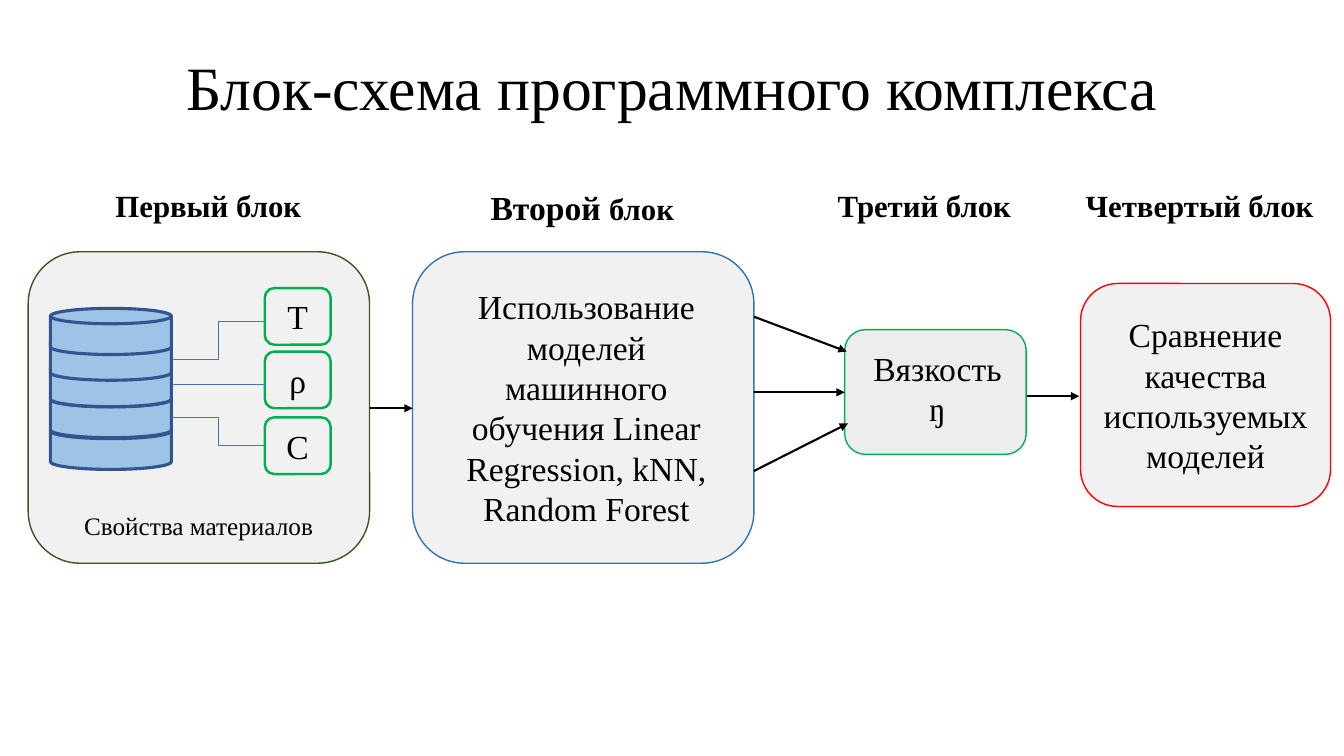
from dataclasses import dataclass

from lxml.etree import SubElement
from pptx import Presentation
from pptx.dml.color import RGBColor
from pptx.enum.shapes import MSO_CONNECTOR, MSO_SHAPE
from pptx.enum.text import MSO_ANCHOR, PP_ALIGN
from pptx.oxml.ns import qn
from pptx.util import Inches, Pt

BLACK = RGBColor(0x00, 0x00, 0x00)
PANEL = RGBColor(0xED, 0xED, 0xED)
DISK_FILL = RGBColor(0x9D, 0xC3, 0xE6)
DISK_EDGE = RGBColor(0x32, 0x54, 0x91)
LINK = RGBColor(0x44, 0x72, 0xC4)
DARK_GREEN = RGBColor(0x38, 0x57, 0x23)
GREEN = RGBColor(0x00, 0xB0, 0x50)
BLUE = RGBColor(0x2E, 0x75, 0xB6)
RED = RGBColor(0xFF, 0x00, 0x00)

SLIDE_W, SLIDE_H = Inches(13.33), Inches(7.5)
COL, ROW = SLIDE_W / 100, SLIDE_H / 100


@dataclass
class Box:
    x: float
    y: float
    w: float
    h: float

    def place(self, x, y, w, h):
        return Box(self.x + x, self.y + y, w, h)

    def emu(self):
        return [round(n) for n in (self.x * COL, self.y * ROW, self.w * COL, self.h * ROW)]


def add_words(paragraph, words, size, bold=False):
    run = paragraph.add_run()
    run.text = words
    style = {"name": "Times New Roman", "size": Pt(size), "bold": bold}
    for name, value in style.items():
        setattr(run.font, name, value)
    run.font.color.rgb = BLACK


def write(frame, lines, size, bold=False, anchor=MSO_ANCHOR.MIDDLE):
    for name, value in {"word_wrap": True, "vertical_anchor": anchor}.items():
        setattr(frame, name, value)
    paragraph = frame.paragraphs[0]
    paragraph.alignment = PP_ALIGN.CENTER
    for index, line in enumerate(lines):
        if index:
            paragraph.add_line_break()
        add_words(paragraph, line, size, bold)
    return paragraph


def add_label(slide, box, lines, size, bold=False):
    label = slide.shapes.add_textbox(*box.emu())
    return write(label.text_frame, lines, size, bold, MSO_ANCHOR.TOP)


def add_figure(slide, kind, box, edge, width, fill=None, alpha=None):
    figure = slide.shapes.add_shape(kind, *box.emu())
    figure.shadow.inherit = False
    if fill is None:
        figure.fill.background()
    else:
        figure.fill.solid()
        figure.fill.fore_color.rgb = fill
    if alpha:
        tint = figure.element.spPr.find(qn("a:solidFill"))[0]
        SubElement(tint, qn("a:alpha"), val=str(alpha * 1000))
    figure.line.color.rgb = edge
    figure.line.width = Pt(width)
    return figure


def add_link(slide, box, start, end, color, width, kind=MSO_CONNECTOR.STRAIGHT, head=False):
    ends = [box.place(*point, 0, 0).emu()[:2] for point in (start, end)]
    link = slide.shapes.add_connector(kind, *ends[0], *ends[1])
    link.line.color.rgb = color
    link.line.width = Pt(width)
    properties = link.element.spPr
    if head:
        SubElement(properties.find(qn("a:ln")), qn("a:tailEnd"), type="triangle")
    SubElement(properties, qn("a:effectLst"))


def add_panel(slide, box, edge, alpha=74):
    return add_figure(slide, MSO_SHAPE.ROUNDED_RECTANGLE, box, edge, 1, PANEL, alpha)


def add_title(slide, box):
    title = slide.shapes.title
    for name, value in zip(("left", "top", "width", "height"), box.emu()):
        setattr(title, name, value)
    write(title.text_frame, ["Блок-схема программного комплекса"], 44).line_spacing = 0.9


def add_materials(slide, box):
    add_panel(slide, box, DARK_GREEN)
    for top in (22.7, 18.5, 14.4, 10.9, 7.5):
        add_figure(slide, MSO_SHAPE.FLOWCHART_MAGNETIC_DISK, box.place(1.65, top, 9, 6.1),
                   DISK_EDGE, 2.25, DISK_FILL)
    properties = (
        ("Т", 4.8, 14.3, 9.2, MSO_CONNECTOR.ELBOW),
        ("ρ", 13.2, 17.6, 17.6, MSO_CONNECTOR.STRAIGHT),
        ("С", 21.9, 21.9, 25.6, MSO_CONNECTOR.ELBOW),
    )
    for symbol, top, start, end, kind in properties:
        add_link(slide, box, (10.7, start), (17.6, end), LINK, 0.5, kind)
        tile = add_figure(slide, MSO_SHAPE.FLOWCHART_ALTERNATE_PROCESS,
                          box.place(17.6, top, 4.9, 7.5), GREEN, 1.75)
        write(tile.text_frame, [symbol], 24)
    add_label(slide, box.place(2.85, 33.6, 19.65, 5.3), ["Свойства материалов"], 18)


def add_models(slide, box):
    add_panel(slide, box, BLUE)
    methods = "Использование моделей машинного обучения Linear Regression, kNN, Random Forest"
    add_label(slide, box.place(3.1, 3.9, 19.65, 33.6), [methods], 24)


def add_viscosity(slide, box):
    add_panel(slide, box, GREEN, None)
    add_label(slide, box.place(0.15, 1.7, 13.5, 12.1), ["Вязкость", "ŋ"], 24)


def add_comparison(slide, box):
    panel = add_panel(slide, box, RED)
    write(panel.text_frame, ["Сравнение качества используемых моделей"], 24)


def add_headings(slide, box):
    headings = (
        ("Первый блок", 5.8, 19.4),
        ("Третий блок", 58.65, 20.25),
        ("Четвертый блок", 77.5, 23.5),
    )
    for heading, left, width in headings:
        add_label(slide, box.place(left, 0, width, 6.3), [heading], 22, True)
    second = add_label(slide, box.place(33.5, 0, 19.65, 6.7), ["Второй "], 24, True)
    add_words(second, "блок", 22, True)


def add_arrows(slide, box):
    arrows = (
        ((27.5, 54), (30.7, 54)),
        ((56.1, 41.9), (63, 46.5)),
        ((56.1, 51.9), (62.85, 51.9)),
        ((56.1, 62.3), (63.1, 56)),
        ((76.4, 52.4), (80.3, 52.4)),
    )
    for start, end in arrows:
        add_link(slide, box, start, end, BLACK, 1.5, head=True)


def main():
    deck = Presentation()
    deck.slide_width, deck.slide_height = SLIDE_W, SLIDE_H
    slide = deck.slides.add_slide(deck.slide_layouts[5])
    page = Box(0, 0, 100, 100)
    regions = (
        (add_title, (6.9, 2.3, 86.25, 19.3)),
        (add_materials, (2.1, 33.3, 25.4, 41.2)),
        (add_models, (30.7, 33.3, 25.4, 41.2)),
        (add_viscosity, (62.85, 43.6, 13.5, 16.5)),
        (add_comparison, (80.4, 37.5, 18.6, 29.5)),
        (add_arrows, (0, 0, 100, 100)),
        (add_headings, (0, 24.1, 100, 6.7)),
    )
    for add_region, bounds in regions:
        add_region(slide, page.place(*bounds))
    deck.save("out.pptx")


if __name__ == "__main__":
    main()
